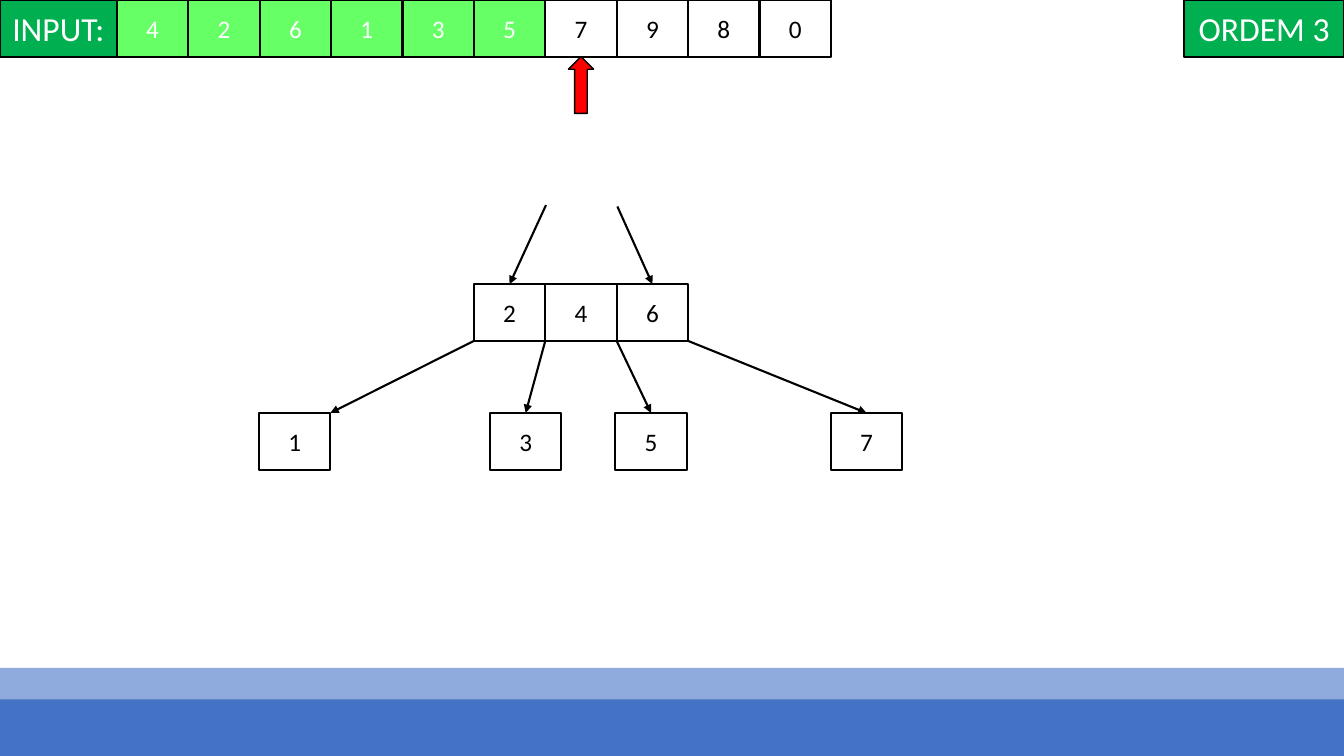
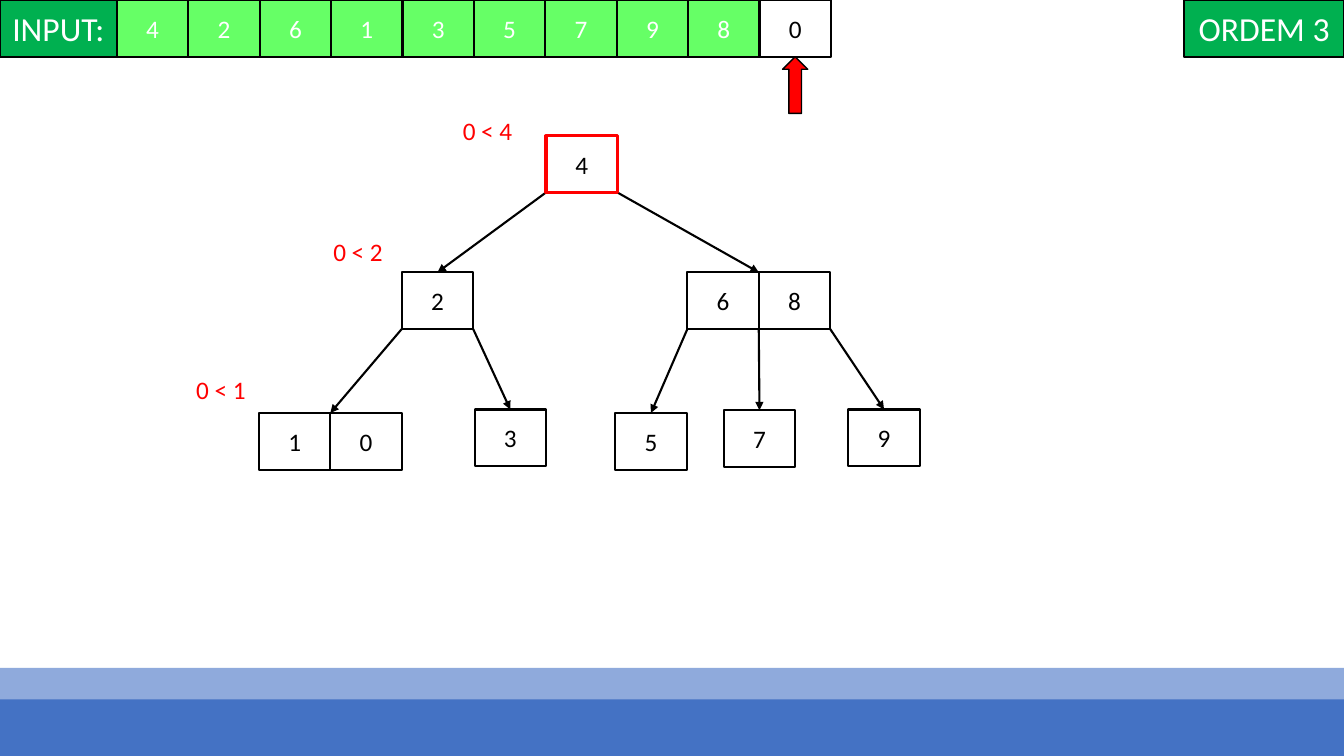
from lxml import etree
from pptx import Presentation
from pptx.dml.color import RGBColor
from pptx.enum.shapes import MSO_CONNECTOR, MSO_SHAPE
from pptx.enum.text import MSO_ANCHOR, PP_ALIGN
from pptx.oxml.ns import qn
from pptx.util import Pt

RECTANGLE, UP_ARROW = MSO_SHAPE.RECTANGLE, MSO_SHAPE.UP_ARROW
STRAIGHT = MSO_CONNECTOR.STRAIGHT
MIDDLE, CENTER, LEFT = MSO_ANCHOR.MIDDLE, PP_ALIGN.CENTER, PP_ALIGN.LEFT

SLIDE_WIDTH, SLIDE_HEIGHT = 960, 540
CELL_WIDTH, CELL_HEIGHT = 51, 40.5
INPUT_WIDTH, ORDER_WIDTH = 83.5, 114
POINTER_WIDTH = 18
TOP_SITE = 0
KEYS = "4261357980"

BLACK, WHITE, RED = "000000", "FFFFFF", "FF0000"
LABEL_GREEN, DONE_GREEN = "00B050", "66FF66"
BANDS = [(477, "8FAADC"), (499.5, "4472C4")]


def color(value):
    return RGBColor.from_string(value)


class TreeDeck:
    """Holds the style and the slide being drawn."""

    font_name = "Calibri"
    line_width = 1.5

    def __init__(self):
        self.presentation = Presentation()
        self.presentation.slide_width = Pt(SLIDE_WIDTH)
        self.presentation.slide_height = Pt(SLIDE_HEIGHT)
        self.slide = None

    def new_slide(self, current):
        """Start a slide with bands and the input row, pointing at one key."""
        layout = self.presentation.slide_layouts[6]
        self.slide = self.presentation.slides.add_slide(layout)
        for top, fill in BANDS:
            self.box(0, top, SLIDE_WIDTH, fill=fill, line=None)
        label = {"fill": LABEL_GREEN, "text_color": WHITE, "size": 24}
        self.box(0, 0, INPUT_WIDTH, "INPUT:", **label)
        for index, key in enumerate(KEYS):
            done = index < current
            self.box(INPUT_WIDTH + index * CELL_WIDTH, 0, CELL_WIDTH, key,
                     fill=DONE_GREEN if done else WHITE,
                     text_color=WHITE if done else BLACK)
        self.box(SLIDE_WIDTH - ORDER_WIDTH, 0, ORDER_WIDTH, "ORDEM 3", **label)
        middle = INPUT_WIDTH + (current + 0.5) * CELL_WIDTH
        self.box(middle - POINTER_WIDTH / 2, CELL_HEIGHT, POINTER_WIDTH,
                 fill=RED, width_of_line=1, kind=UP_ARROW)

    def set_text(self, text_frame, text, size, text_color, alignment):
        paragraph = text_frame.paragraphs[0]
        paragraph.alignment = alignment
        run = paragraph.add_run()
        run.text = text
        run.font.color.rgb = color(text_color)
        for name, value in {"name": self.font_name, "size": Pt(size)}.items():
            setattr(run.font, name, value)

    def box(self, left, top, width, text="", fill=WHITE, line=BLACK,
            width_of_line=line_width, text_color=BLACK, size=18,
            kind=RECTANGLE):
        shape = self.slide.shapes.add_shape(
            kind, Pt(left), Pt(top), Pt(width), Pt(CELL_HEIGHT))
        shape.shadow.inherit = False
        if fill:
            shape.fill.solid()
            shape.fill.fore_color.rgb = color(fill)
        else:
            shape.fill.background()
        if line:
            shape.line.color.rgb = color(line)
            shape.line.width = Pt(width_of_line)
        else:
            shape.line.fill.background()
        if text:
            layout = {"vertical_anchor": MIDDLE, "margin_left": 0,
                      "margin_right": 0, "word_wrap": True}
            for name, value in layout.items():
                setattr(shape.text_frame, name, value)
            self.set_text(shape.text_frame, text, size, text_color, CENTER)
        return shape

    def node(self, keys, left, top):
        """Draw a row of key cells and return them."""
        return [self.box(left + index * CELL_WIDTH, top, CELL_WIDTH, key)
                for index, key in enumerate(keys)]

    def edge_point(self, node, gap, at_top=False):
        """Point before the cell numbered gap, on the node's top or bottom."""
        first = node[0]
        height = 0 if at_top else CELL_HEIGHT
        return first.left.pt + gap * CELL_WIDTH, first.top.pt + height

    def arrow(self, start, end):
        """Draw an arrow to a point, or to the top middle of a cell."""
        is_point = isinstance(end, tuple)
        finish = end if is_point else start
        connector = self.slide.shapes.add_connector(
            STRAIGHT, *(Pt(value) for value in (*start, *finish)))
        if not is_point:
            connector.end_connect(end, TOP_SITE)
        connector.line.color.rgb = color(BLACK)
        connector.line.width = Pt(self.line_width)
        etree.SubElement(connector.get_or_add_ln(), qn("a:tailEnd"),
                         type="triangle")
        etree.SubElement(connector.element.spPr, qn("a:effectLst"))

    def branches(self, parent, ends):
        """Draw one arrow from each gap of the parent."""
        for gap, end in enumerate(ends):
            self.arrow(self.edge_point(parent, gap), end)

    def note(self, text, left, top):
        shape = self.slide.shapes.add_textbox(
            Pt(left), Pt(top), Pt(56), Pt(29))
        shape.text_frame.word_wrap = False
        self.set_text(shape.text_frame, text, 18, RED, LEFT)


def draw_overflow(deck):
    """Inserting 7: the node 2 4 6 is too full."""
    deck.new_slide(current=6)
    parent = deck.node("246", 338.5, 203)
    one, three, five, seven = [
        deck.node(key, left, 295)
        for key, left in zip("1357", (185, 350, 439.5, 593.5))]
    deck.branches(parent, [deck.edge_point(one, 1, at_top=True),
                           three[0], five[0], seven[0]])
    # Arrows waiting for the new root
    deck.arrow((390, 146.5), parent[0])
    deck.arrow((441, 147.5), parent[2])


def draw_insertion(deck):
    """Inserting 0: walk down the left side of the tree."""
    deck.new_slide(current=9)
    root = deck.node("4", 390, 97)
    left_node = deck.node("2", 287, 194.5)
    right_node = deck.node("68", 491, 194.5)
    first_leaf = deck.node("10", 185, 295)
    three = deck.node("3", 339, 292.5)
    five = deck.node("5", 439.5, 295)
    seven = deck.node("7", 517, 293)
    nine = deck.node("9", 606, 292.5)
    deck.branches(root, [left_node[0],
                         deck.edge_point(right_node, 1, at_top=True)])
    deck.branches(left_node, [deck.edge_point(first_leaf, 1, at_top=True),
                              three[0]])
    deck.branches(right_node, [five[0], seven[0], nine[0]])
    # Current node and comparisons
    deck.box(390, 97, CELL_WIDTH, fill=None, line=RED, width_of_line=2.25)
    for text, left, top in [("0 < 4", 323.5, 78.5), ("0 < 2", 231, 165.5),
                            ("0 < 1", 133, 263.5)]:
        deck.note(text, left, top)


def main():
    deck = TreeDeck()
    draw_overflow(deck)
    draw_insertion(deck)
    deck.presentation.save("out.pptx")


if __name__ == "__main__":
    main()
